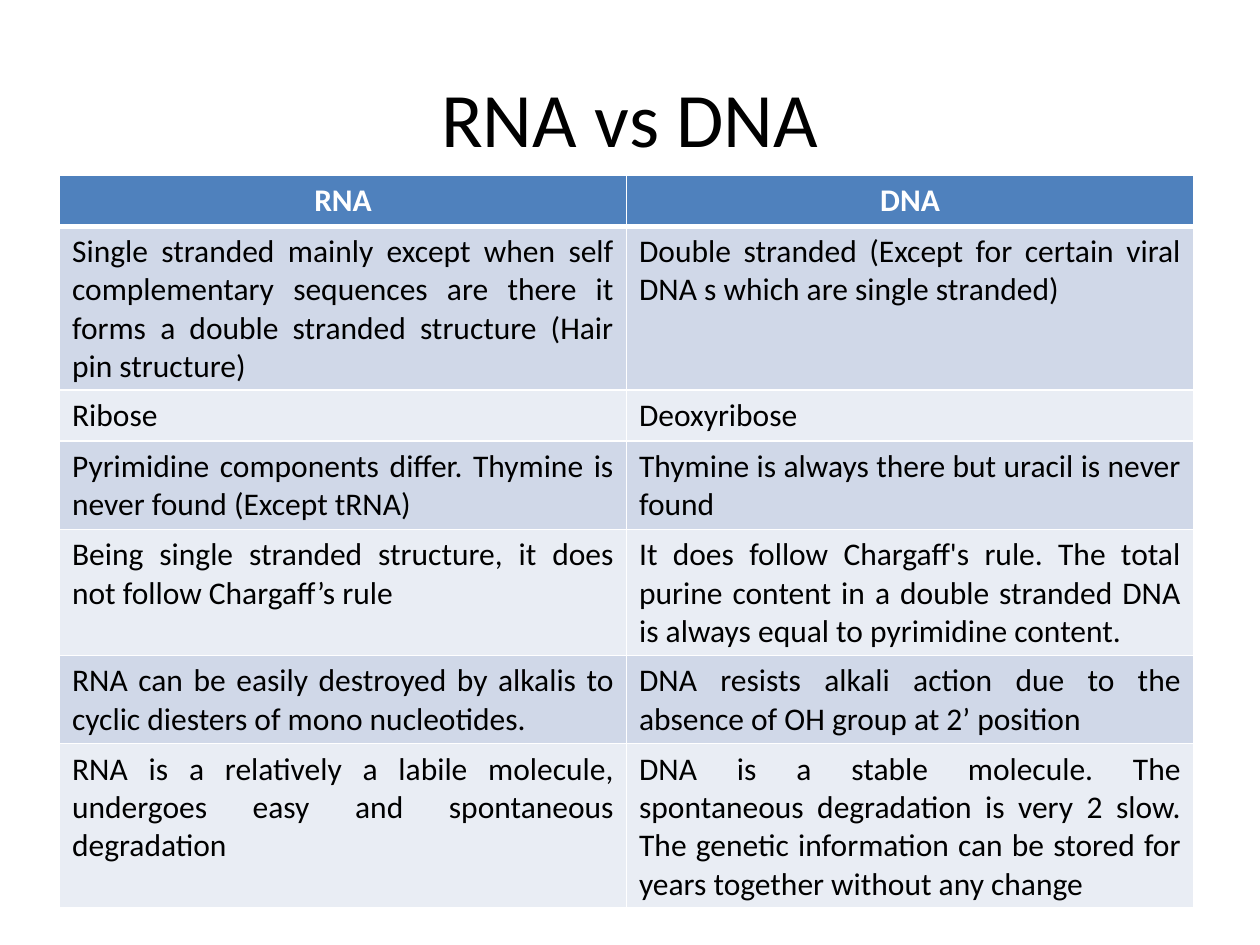
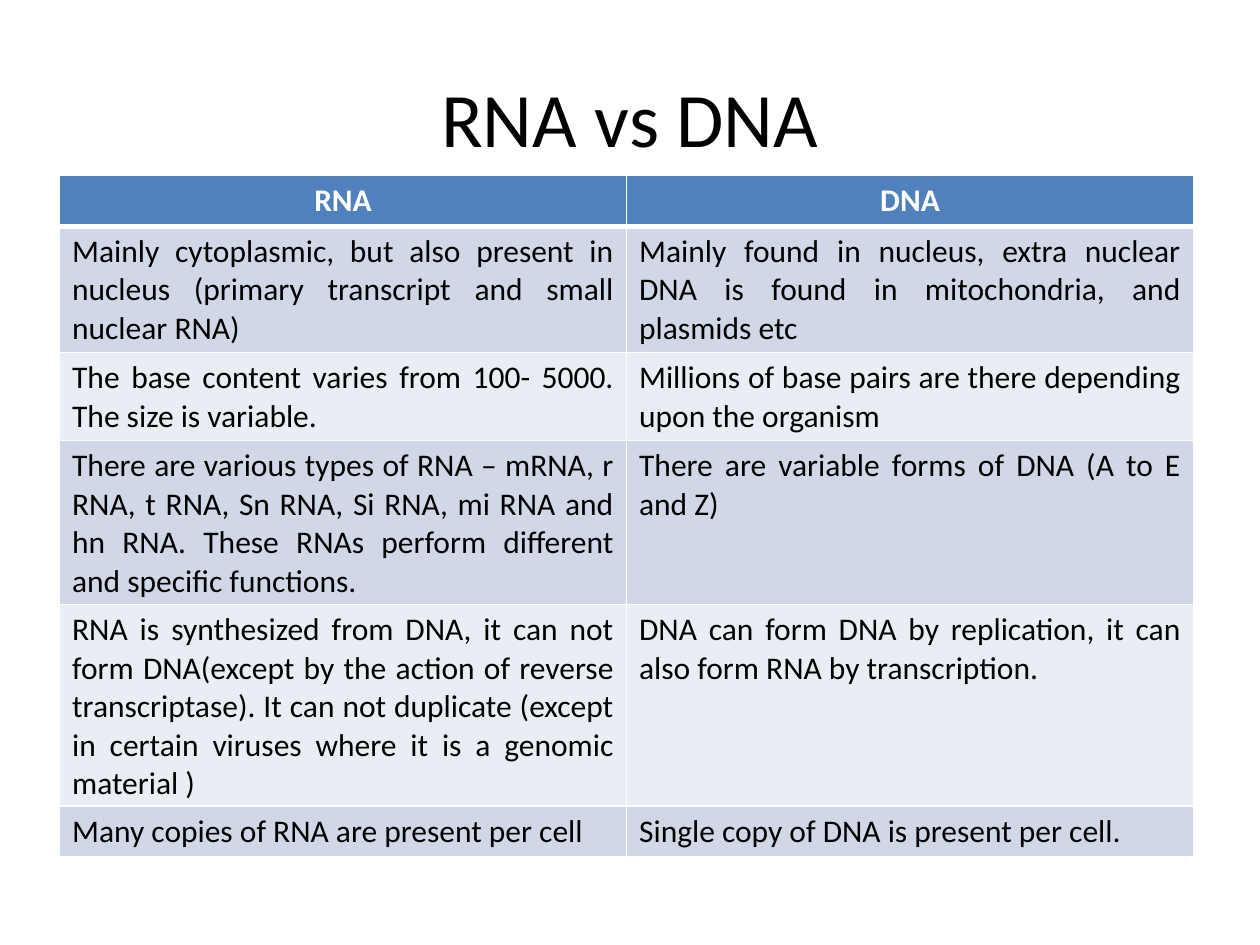
from dataclasses import dataclass

from lxml.etree import SubElement
from pptx import Presentation
from pptx.dml.color import RGBColor as Rgb
from pptx.enum.text import MSO_ANCHOR as Anchor, PP_ALIGN as Align
from pptx.oxml.ns import qn
from pptx.util import Cm, Pt


@dataclass(frozen=True)
class Theme:
    font: str = "Calibri"
    title_size: int = 44
    table_size: int = 18
    ink: str = "000000"
    paper: str = "FFFFFF"
    heading: str = "4F81BD"
    bands: tuple = ("D0D8E8", "E9EDF4")
    rule: int = 1
    heading_rule: int = 3


THEME = Theme()
TITLE = "RNA vs DNA"
HEADINGS = ("RNA", "DNA")

STRUCTURE = [
    ("Single stranded mainly except when self complementary sequences are there it forms "
     "a double stranded structure (Hair pin structure)",
     "Double stranded (Except for certain viral DNA s which are single stranded)"),
    ("Ribose", "Deoxyribose"),
    ("Pyrimidine components differ. Thymine is never found (Except tRNA)",
     "Thymine is always there but uracil is never found"),
    ("Being single stranded structure, it does not follow Chargaff’s rule",
     "It does follow Chargaff's rule. The total purine content in a double stranded DNA "
     "is always equal to pyrimidine content."),
    ("RNA can be easily destroyed by alkalis to cyclic diesters of mono nucleotides.",
     "DNA resists alkali action due to the absence of OH group at 2’ position"),
    ("RNA is a relatively a labile molecule, undergoes easy and spontaneous degradation",
     "DNA is a stable molecule. The spontaneous degradation is very 2 slow. The genetic "
     "information can be stored for years together without any change"),
]

OCCURRENCE = [
    ("Mainly cytoplasmic, but also present in nucleus (primary transcript and small "
     "nuclear RNA)",
     "Mainly found in nucleus, extra nuclear DNA is found in mitochondria, and plasmids etc"),
    ("The base content varies from 100- 5000. The size is variable.",
     "Millions of base pairs are there depending upon the organism"),
    ("There are various types of RNA – mRNA, r RNA, t RNA, Sn RNA, Si RNA, mi RNA and "
     "hn RNA. These RNAs perform different and specific functions.",
     "There are variable forms of DNA (A to E and Z)"),
    ("RNA is synthesized from DNA, it can not form DNA(except by the action of reverse "
     "transcriptase). It can not duplicate (except in certain viruses where it is a "
     "genomic material )",
     "DNA can form DNA by replication, it can also form RNA by transcription."),
    ("Many copies of RNA are present per cell", "Single copy of DNA is present per cell."),
]

SLIDE_WIDTH, SLIDE_HEIGHT = Cm(25.4), Cm(19.05)
TITLE_BOX = Cm(1.27), Cm(0.76), Cm(22.86), Cm(3.18)
TABLE_LEFT, TABLE_TOP, TABLE_WIDTH = Cm(1.2), Cm(3.53), Cm(22.86)
ROW_HEIGHT = Cm(1.03)


def style(paragraph, size, color, align, bold=False):
    paragraph.alignment = align
    paragraph.font.name = THEME.font
    paragraph.font.size = Pt(size)
    paragraph.font.bold = bold
    paragraph.font.color.rgb = Rgb.from_string(color)


def add_title(slide):
    title = slide.shapes.add_textbox(*TITLE_BOX).text_frame
    title.word_wrap = True
    title.vertical_anchor = Anchor.MIDDLE
    title.text = TITLE
    style(title.paragraphs[0], THEME.title_size, THEME.ink, Align.CENTER)


def add_borders(cell, top, bottom):
    properties = cell._tc.get_or_add_tcPr()
    widths = {"L": THEME.rule, "R": THEME.rule, "T": top, "B": bottom}
    for side, width in widths.items():
        border = SubElement(properties, qn(f"a:ln{side}"), w=str(Pt(width)))
        fill = SubElement(border, qn("a:solidFill"))
        SubElement(fill, qn("a:srgbClr"), val=THEME.paper)


def fill_cell(cell, wording, row):
    is_heading = row == 0
    add_borders(cell,
                top=THEME.heading_rule if row == 1 else THEME.rule,
                bottom=THEME.heading_rule if is_heading else THEME.rule)
    background = THEME.heading if is_heading else THEME.bands[(row - 1) % 2]
    cell.fill.solid()
    cell.fill.fore_color.rgb = Rgb.from_string(background)
    cell.text = wording
    style(cell.text_frame.paragraphs[0], THEME.table_size,
          THEME.paper if is_heading else THEME.ink,
          Align.CENTER if is_heading else Align.JUSTIFY, is_heading)


def add_comparison(slide, differences):
    rows = [HEADINGS, *differences]
    comparison = slide.shapes.add_table(
        len(rows), len(HEADINGS), TABLE_LEFT, TABLE_TOP,
        TABLE_WIDTH, ROW_HEIGHT * len(rows)).table
    for row, wordings in enumerate(rows):
        for column, wording in enumerate(wordings):
            fill_cell(comparison.cell(row, column), wording, row)


def main():
    deck = Presentation()
    deck.slide_width, deck.slide_height = SLIDE_WIDTH, SLIDE_HEIGHT
    blank = deck.slide_layouts[6]
    for differences in (STRUCTURE, OCCURRENCE):
        slide = deck.slides.add_slide(blank)
        add_title(slide)
        add_comparison(slide, differences)
    deck.save("out.pptx")


if __name__ == "__main__":
    main()
